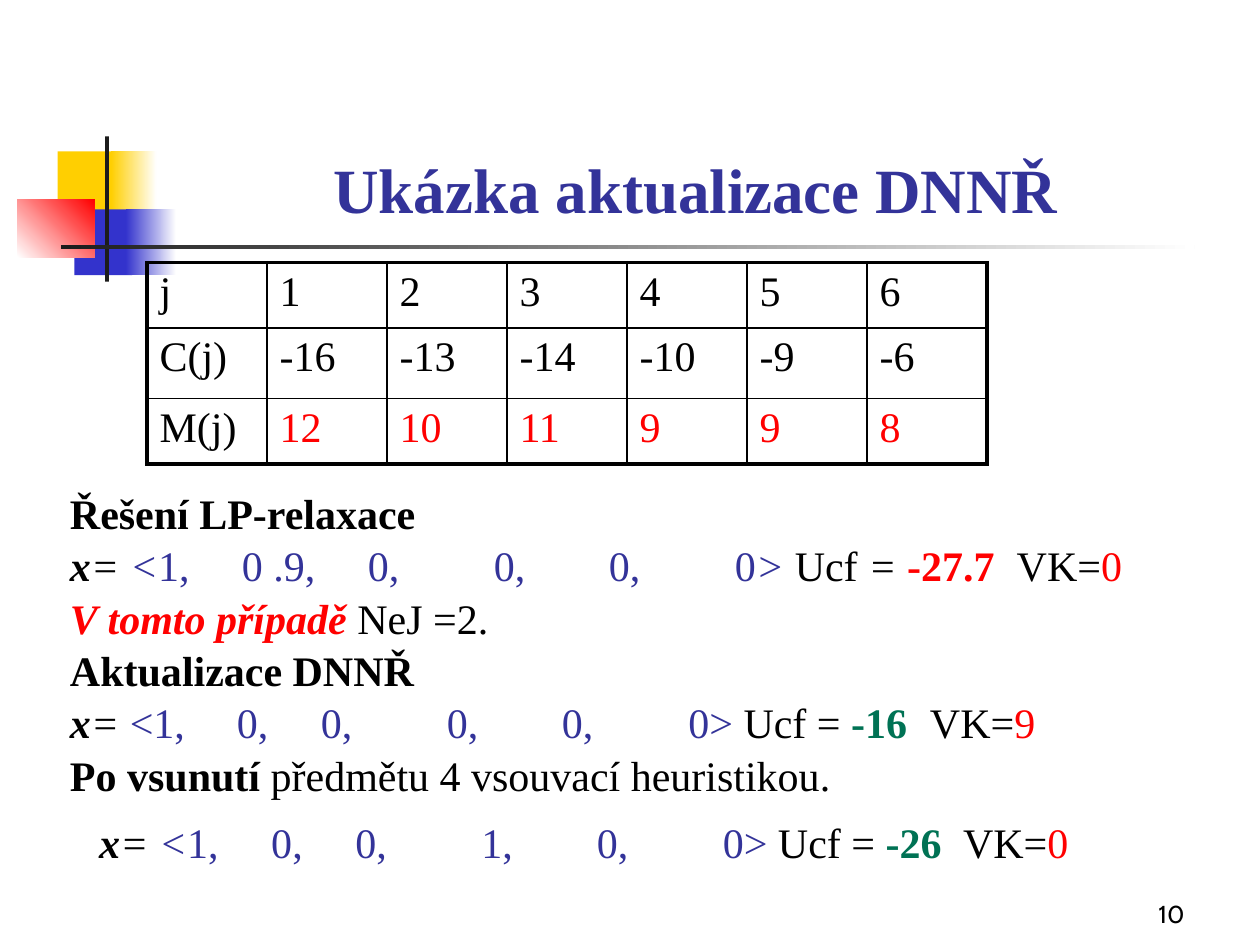
from lxml import etree
from pptx import Presentation, util as u
from pptx.dml.color import RGBColor
from pptx.enum import shapes, text
from pptx.oxml import ns

Pt = u.Pt
HUES = {"ink": "000000", "navy": "333399", "red": "FF0000", "green": "007254",
        "gold": "FFCF01", "blue": "3333CC", "dark": "1C1C1C", "white": "FFFFFF"}


def rgb(hue):
    return RGBColor.from_string(HUES[hue])


def sub(node, tag, **attrs):
    return etree.SubElement(node, ns.qn(tag), attrs)


class Deck:
    def __init__(self, wide, high, font, size):
        self.prs = Presentation()
        self.prs.slide_width, self.prs.slide_height = Pt(wide), Pt(high)
        self.slide = self.prs.slides.add_slide(self.prs.slide_layouts[6])
        self.font, self.size = font, size

    def bar(self, box, hue, end=None, angle=0):
        """Plain rectangle, or a gradient from hue to end."""
        shape = self.slide.shapes.add_shape(
            shapes.MSO_SHAPE.RECTANGLE, *map(Pt, box))
        shape.shadow.inherit = False
        shape.line.fill.background()
        if end is None:
            shape.fill.solid()
            shape.fill.fore_color.rgb = rgb(hue)
            return
        shape.fill.gradient()
        shape.fill.gradient_angle = angle
        for stop, tone in zip(shape.fill.gradient_stops, (hue, end)):
            stop.color.rgb = rgb(tone)

    def runs(self, para, parts, size=None, font=None):
        """Each part is words, hue and style letters (b, i)."""
        for words, hue, style in parts:
            run = para.add_run()
            run.text = words
            run.font.name = font or self.font
            run.font.size = Pt(size or self.size)
            run.font.color.rgb = rgb(hue)
            run.font.bold = "b" in style
            run.font.italic = "i" in style

    def tabs(self, para, stops):
        row = sub(para._p.get_or_add_pPr(), "a:tabLst")
        for stop in stops:
            sub(row, "a:tab", pos=str(Pt(stop)), algn="l")

    def text(self, box, paras, align="LEFT", anchor="TOP", inset=(7.2, 3.6),
             space=1, before=0, **look):
        """Each paragraph is its parts and its tab stops."""
        frame = self.slide.shapes.add_textbox(*map(Pt, box)).text_frame
        frame.word_wrap = True
        frame.margin_left, frame.margin_top = map(Pt, inset)
        frame.vertical_anchor = getattr(text.MSO_ANCHOR, anchor)
        for num, (parts, stops) in enumerate(paras):
            para = frame.add_paragraph() if num else frame.paragraphs[0]
            if stops:
                self.tabs(para, stops)
            para.alignment = getattr(text.PP_ALIGN, align)
            para.line_spacing = space
            para.space_before = Pt(before if num else 0)
            self.runs(para, parts, **look)

    def edge(self, cell, side, width):
        line = sub(cell._tc.get_or_add_tcPr(), "a:ln" + side, w=str(Pt(width)))
        sub(sub(line, "a:solidFill"), "a:srgbClr", val=HUES["ink"])

    def table(self, box, rows, highs):
        last, end = len(rows) - 1, len(rows[0]) - 1
        grid = self.slide.shapes.add_table(
            last + 1, end + 1, *map(Pt, box)).table
        grid.first_row = grid.horz_banding = False
        for col in grid.columns:
            col.width = Pt(box[2] / (end + 1))
        for r, row in enumerate(rows):
            grid.rows[r].height = Pt(highs[r])
            for c, words in enumerate(row):
                cell = grid.cell(r, c)
                outer = {"L": c == 0, "R": c == end, "T": r == 0, "B": r == last}
                for side, thick in outer.items():
                    self.edge(cell, side, 2.25 if thick else 1)
                cell.fill.background()
                hue = "red" if r == last and c else "ink"
                self.runs(cell.text_frame.paragraphs[0], [(words, hue, "")])


def main():
    deck = Deck(720, 540, "Times New Roman", 24)

    deck.bar((33, 86.5, 34.5, 37.5), "gold")
    deck.bar((63.5, 86.5, 26, 37.5), "gold", "white")
    deck.bar((42.5, 119.7, 33, 37.5), "blue")
    deck.bar((72, 119.7, 28.8, 37.5), "blue", "white")
    deck.bar((10, 113.8, 44, 33.3), "white", "red", 45)
    deck.bar((60, 78, 2.3, 83), "dark")
    deck.bar((34.7, 140, 648, 2.5), "dark", "white")

    deck.text((534, 498, 150, 36), [([("10", "ink", "")], ())],
              "RIGHT", "BOTTOM", size=14, font="Cabin")
    deck.text((90.7, 30.2, 613.5, 102.3),
              [([("Ukázka aktualizace DNNŘ", "navy", "b")], ())],
              "CENTER", "BOTTOM", size=36)

    start = [("x", "ink", "bi"), ("= ", "ink", "i")]
    close = [("VK=", "ink", "")]
    deck.text((18, 275.8, 684, 234), [
        ([("Řešení LP-relaxace", "ink", "b")], ()),
        (start + [("<", "navy", "i"),
                  ("1,\t0 .9,\t0,\t0,\t0,\t0", "navy", ""),
                  ("> ", "navy", "i"), ("Ucf ", "ink", ""), ("= ", "ink", "i"),
                  ("-27.7\t", "red", "b")] + close + [("0", "red", "")],
         (98.3, 170.3, 242.3, 308, 380, 541)),
        ([("V tomto případě ", "red", "bi"), ("NeJ =2.", "ink", "")], ()),
        ([("Aktualizace DNNŘ", "ink", "b")], ()),
        (start + [("<1,\t0,\t0,\t0,\t0,\t0> ", "navy", ""),
                  ("Ucf = ", "ink", ""), ("-16\t", "green", "b")]
         + close + [("9", "red", "")],
         (95.4, 143.4, 215.4, 281.1, 353.4, 491.4)),
        ([("Po vsunutí ", "ink", "b"),
          ("předmětu 4 vsouvací heuristikou.", "ink", "")], ()),
    ], inset=(22, 6), space=0.9, before=4)

    deck.table((84, 150, 480, 115.2), [
        ("j", "1", "2", "3", "4", "5", "6"),
        ("C(j)", "-16", "-13", "-14", "-10", "-9", "-6"),
        ("M(j)", "12", "10", "11", "9", "9", "8"),
    ], (37.4, 40.4, 37.4))

    deck.text((45.4, 463, 577, 36), [
        (start + [("<", "navy", "i"),
                  ("1,\t0,\t0,\t1,\t0,\t0> ", "navy", ""),
                  ("Ucf = ", "ink", ""), ("-26\t", "green", "b")]
         + close + [("0", "red", "")],
         (98.4, 146.4, 218.4, 284.4, 356.4, 493.7)),
    ], inset=(11.2, 3.6))

    deck.prs.save("out.pptx")


if __name__ == "__main__":
    main()
